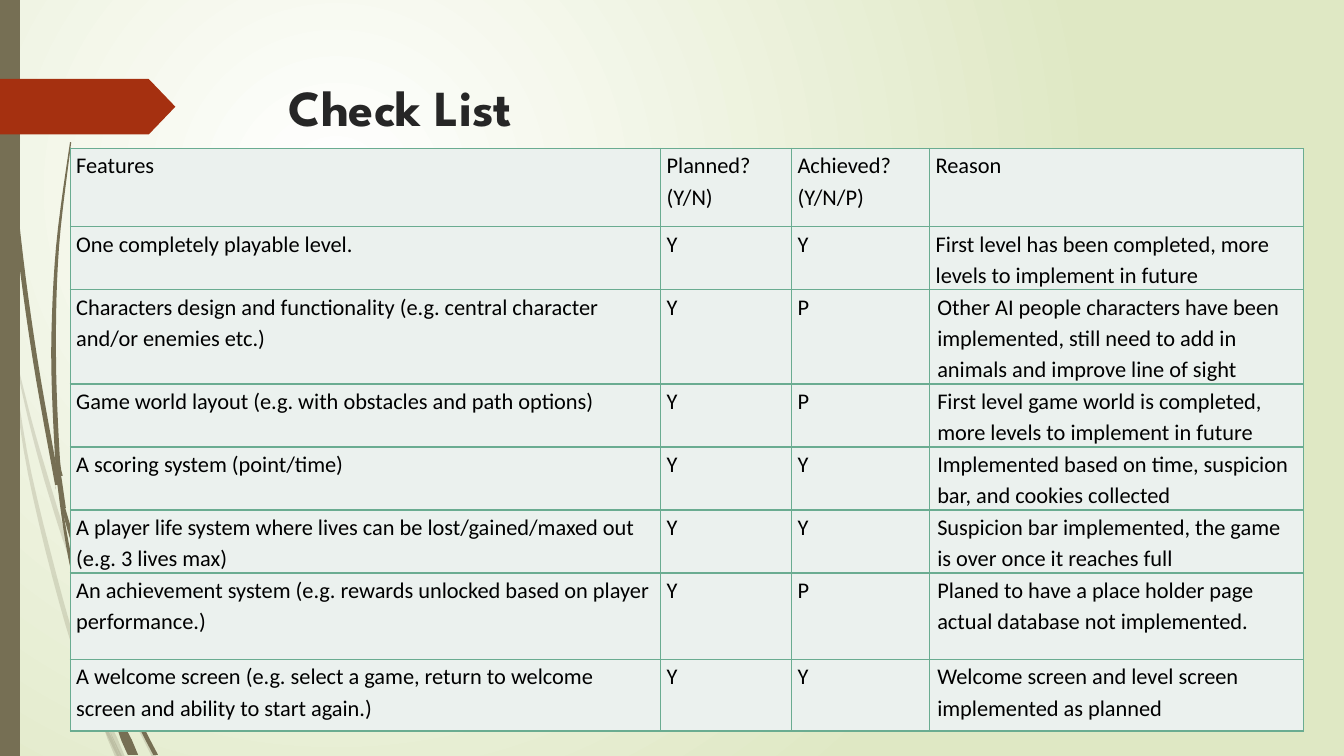
from lxml import etree
from pptx import Presentation
from pptx.dml.color import RGBColor
from pptx.enum.shapes import MSO_SHAPE
from pptx.enum.text import MSO_ANCHOR, PP_ALIGN
from pptx.oxml.ns import qn
from pptx.util import Cm, Pt

RECT, ARROW = MSO_SHAPE.RECTANGLE, MSO_SHAPE.PENTAGON
TOP, LEFT = MSO_ANCHOR.TOP, PP_ALIGN.LEFT

WHITE = RGBColor(0xFF, 0xFF, 0xFF)
LIME = RGBColor(0xDF, 0xE8, 0xC4)
BROWN = RGBColor(0x76, 0x6F, 0x54)
RUST = RGBColor(0xA5, 0x30, 0x10)
INK = RGBColor(0x26, 0x26, 0x26)
BLACK = RGBColor(0, 0, 0)
MINT = RGBColor(0xEB, 0xF1, 0xEE)
GREEN = RGBColor(0x6A, 0xAC, 0x91)

# Grass blades: centre points in cm, drawn as smooth tapered strips
FAINT = [
    [(0, 7.37), (0.15, 8.05), (0.28, 8.89)],
    [(0.38, 9), (0.85, 10.95), (1.52, 13.23), (2.15, 15.05)],
    [(2.24, 15.3), (3.18, 17.6), (3.89, 19.07)],
    [(2.67, 18.06), (3.09, 19.07)],
    [(0.28, 8.89), (0.75, 11.94), (1.71, 15.75), (2.53, 18.1)],
    [(2.13, 15.21), (2.26, 16.41), (2.62, 18.06)],
    [(7.92, 3.89), (6.81, 5.02), (5.8, 6.21), (4.04, 8.85), (2.76, 11.72),
     (2.2, 14.83), (2.2, 15.14)],
    [(2.57, 18.14), (2.96, 19.07)],
    [(2.18, 14.88), (2.2, 15.49)],
    [(2.36, 17.35), (2.57, 18.1), (3.02, 19.07)],
]
DARK = [
    [(0.09, 0), (0.11, 1.22), (0.19, 2.79), (0.46, 5.92), (0.88, 9.02),
     (1.42, 12.06), (1.45, 12.22)],
    [(1.52, 11.99), (1.6, 12.8), (2.27, 15.01), (2.69, 16.38)],
    [(2.79, 16.28), (3.4, 17.96), (3.92, 19.02)],
    [(1.45, 12.12), (1.78, 14.13), (2.43, 16.71), (2.96, 18.34)],
    [(1.78, 3.58), (1.45, 6.22), (1.35, 8.86), (1.44, 11.4), (1.52, 11.99)],
    [(3.1, 18.26), (3.42, 19.02)],
    [(1.4, 11.4), (1.6, 12.8)],
    [(6.6, 8.74), (5.87, 9.49), (5.19, 10.3), (3.99, 12.07), (3.14, 14.01),
     (2.76, 16.05), (2.77, 16.28)],
    [(2.97, 18.34), (3.28, 19.02)],
    [(2.69, 16.38), (2.82, 17.2), (3.07, 18.24)],
    [(2.7, 16.05), (2.8, 16.65)],
    [(2.8, 17.55), (3.02, 18.3), (3.38, 19.02)],
]

COLS = [14.88, 3.3, 3.48, 9.42]
ROWS = [1.97, 1.57, 2.18, 1.58, 1.58, 1.45, 2.18, 1.8]
CELLS = [
    ("Features", "Planned? (Y/N)", "Achieved? (Y/N/P)", "Reason"),
    ("One completely playable level.", "Y", "Y",
     "First level has been completed, more levels to implement in future"),
    ("Characters design and functionality (e.g. central character and/or "
     "enemies etc.)", "Y", "P",
     "Other AI people characters have been implemented, still need to add in "
     "animals and improve line of sight"),
    ("Game world layout (e.g. with obstacles and path options)", "Y", "P",
     "First level game world is completed, more levels to implement in future"),
    ("A scoring system (point/time)", "Y", "Y",
     "Implemented based on time, suspicion bar, and cookies collected"),
    ("A player life system where lives can be lost/gained/maxed out "
     "(e.g. 3 lives max)", "Y", "Y",
     "Suspicion bar implemented, the game is over once it reaches full"),
    ("An achievement system (e.g. rewards unlocked based on player "
     "performance.)", "Y", "P",
     "Planed to have a place holder page actual database not implemented."),
    ("A welcome screen (e.g. select a game, return to welcome screen and "
     "ability to start again.)", "Y", "Y",
     "Welcome screen and level screen implemented as planned"),
]


def write(frame, text, size=16, font="Calibri", color=BLACK, bold=False, line=1.0):
    frame.word_wrap = True
    para = frame.paragraphs[0]
    para.alignment, para.line_spacing = LEFT, line
    run = para.add_run()
    run.text = text
    run.font.size, run.font.name, run.font.bold = Pt(size), font, bold
    run.font.color.rgb = color


def paint(shape, color, alpha=100):
    shape.shadow.inherit = False
    shape.fill.solid()
    shape.fill.fore_color.rgb = color
    shape.line.fill.background()
    if alpha < 100:
        tint = shape._element.spPr.find(".//" + qn("a:srgbClr"))
        etree.SubElement(tint, qn("a:alpha"), val=str(alpha * 1000))


def spline(pts, steps=6):
    """Smooth curve that passes through every point."""
    ends = [pts[0]] + pts + [pts[-1]]
    curve = []
    for a, b, c, d in zip(ends, ends[1:], ends[2:], ends[3:]):
        for i in range(steps):
            t = i / steps
            curve.append(tuple(
                (2 * q + (r - p) * t + (2 * p - 5 * q + 4 * r - s) * t ** 2
                 + (3 * q - p - 3 * r + s) * t ** 3) / 2
                for p, q, r, s in zip(a, b, c, d)))
    return curve + [pts[-1]]


def blade(slide, x, y, pts, color, alpha):
    curve = spline(pts)
    last = len(curve) - 1
    half = [0.015 + 0.045 * min(1, 2 * i / last) for i in range(last + 1)]
    side = [(px - w, py) for (px, py), w in zip(curve, half)]
    side += [(px + w, py) for (px, py), w in zip(curve[::-1], half[::-1])]
    dots = [(Cm(max(0, x + px)), Cm(y + py)) for px, py in side]
    form = slide.shapes.build_freeform(*dots[0])
    form.add_line_segments(dots[1:], close=True)
    paint(form.convert_to_shape(), color, alpha)


def backdrop(slide):
    fill = slide.background.fill
    fill.gradient()
    for stop, color in zip(fill.gradient_stops, (WHITE, LIME)):
        stop.color.rgb = color
    grad = slide._element.find(".//" + qn("a:gradFill"))
    grad.remove(grad.find(qn("a:lin")))
    ring = etree.SubElement(grad, qn("a:path"), path="circle")
    etree.SubElement(ring, qn("a:fillToRect"), l="50000", t="50000",
                     r="100000", b="100000")


def margin(slide, x, y, h):
    # Grass, then the side bar and the arrow tab
    for group, alpha in ((FAINT, 20), (DARK, 100)):
        for pts in group:
            blade(slide, x, y, pts, BROWN, alpha)
    bar = slide.shapes.add_shape(RECT, Cm(x), Cm(y), Cm(0.5), Cm(h))
    paint(bar, BROWN)
    tab = slide.shapes.add_shape(ARROW, Cm(x), Cm(y + 1.99), Cm(4.42), Cm(1.4))
    tab.adjustments[0] = 0.48
    paint(tab, RUST)


def heading(slide, x, y, w, h):
    title = slide.shapes.title
    title.left, title.top, title.width, title.height = map(Cm, (x, y, w, h))
    title.text_frame.vertical_anchor = TOP
    write(title.text_frame, "Check List", size=36, font="League Spartan",
          color=INK, bold=True)


def border(cell):
    props = cell._tc.get_or_add_tcPr()
    for side in ("lnL", "lnR", "lnT", "lnB"):
        line = etree.SubElement(props, qn("a:" + side), w=str(Pt(1)))
        fill = etree.SubElement(line, qn("a:solidFill"))
        etree.SubElement(fill, qn("a:srgbClr"), val=str(GREEN))


def checks(slide, x, y):
    table = slide.shapes.add_table(len(ROWS), len(COLS), Cm(x), Cm(y),
                                   Cm(sum(COLS)), Cm(sum(ROWS))).table
    table.first_row = table.horz_banding = False
    for col, w in zip(table.columns, COLS):
        col.width = Cm(w)
    for i, (row, h) in enumerate(zip(table.rows, ROWS)):
        row.height = Cm(h)
        for j, cell in enumerate(row.cells):
            border(cell)
            cell.fill.solid()
            cell.fill.fore_color.rgb = MINT
            pad = 0.19 if i > 1 and j == 3 else 0.15
            cell.margin_left = cell.margin_right = Cm(pad)
            cell.margin_top = cell.margin_bottom = 0
            cell.vertical_anchor = TOP
            write(cell.text_frame, CELLS[i][j], line=1.15)


deck = Presentation()
deck.slide_width, deck.slide_height = Cm(33.87), Cm(19.05)
page = deck.slides.add_slide(deck.slide_layouts[5])
backdrop(page)
margin(page, 0, 0, 19.05)
heading(page, 7.02, 1.8, 24.77, 3.56)
checks(page, 1.77, 3.74)
deck.save("out.pptx")
